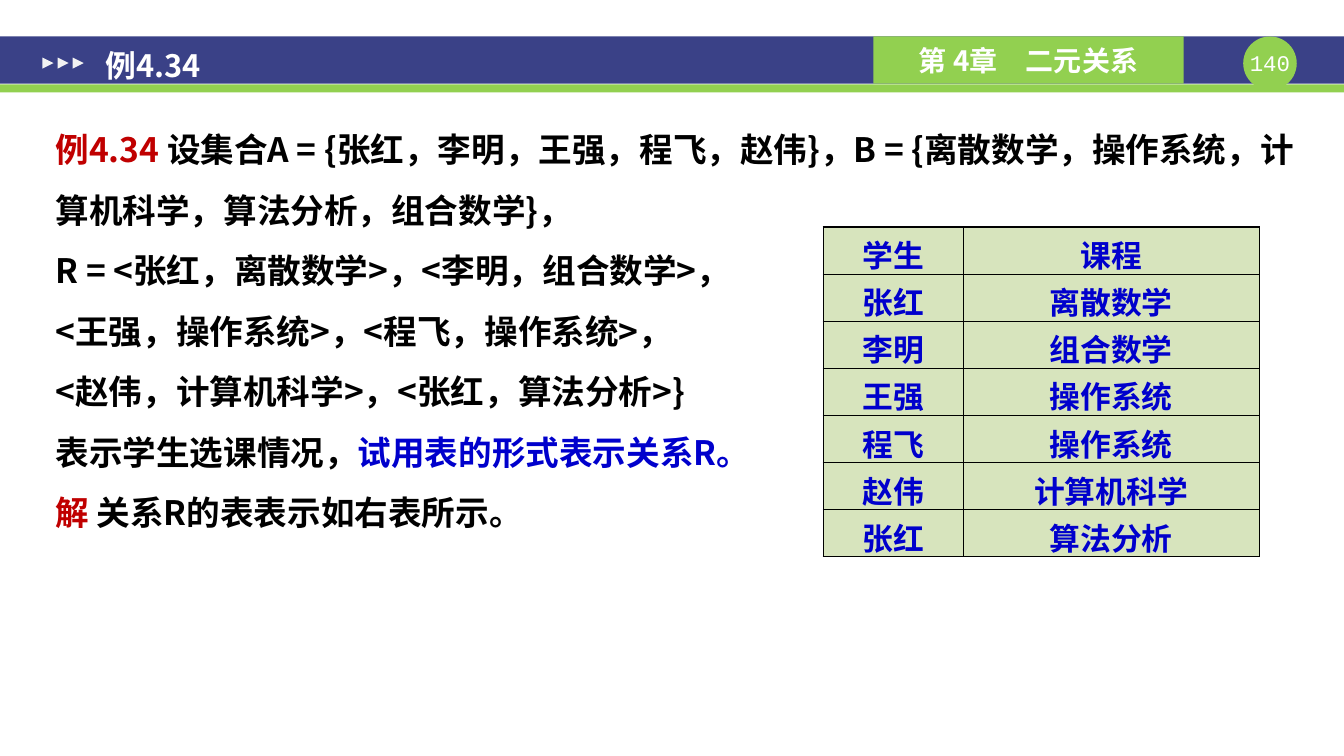
from lxml.etree import SubElement
from pptx import Presentation
from pptx.dml.color import RGBColor
from pptx.enum.shapes import MSO_SHAPE
from pptx.enum.text import MSO_ANCHOR, PP_ALIGN
from pptx.oxml.ns import qn
from pptx.util import Cm, Pt

COLORS = {
    "bar": "3A4187", "accent": "92D050", "arrow": "F2F2F2", "white": "FFFFFF",
    "label": "C00000", "text": "000000", "blue": "0000CC", "cell": "D7E4BD",
}
SANS = "Noto Sans CJK SC"
SLIDE_W, SLIDE_H = 33.88, 19.05

BODY = [
    [("例4.34 ", "label"),
     ("设集合A = {张红，李明，王强，程飞，赵伟}，"
      "B = {离散数学，操作系统，计算机科学，算法分析，组合数学}，", "text")],
    [("R = <张红，离散数学>，<李明，组合数学>，", "text")],
    [("<王强，操作系统>，<程飞，操作系统>，", "text")],
    [("<赵伟，计算机科学>，<张红，算法分析>}", "text")],
    [("表示学生选课情况，", "text"), ("试用表的形式表示关系R。", "blue")],
    [("解 ", "label"), ("关系R的表表示如右表所示。", "text")],
]
COURSES = [
    ("学生", "课程"), ("张红", "离散数学"), ("李明", "组合数学"),
    ("王强", "操作系统"), ("程飞", "操作系统"), ("赵伟", "计算机科学"),
    ("张红", "算法分析"),
]


def rgb(name):
    return RGBColor.from_string(COLORS[name])


def style_run(r, size, color, font=SANS, bold=True):
    r.font.size, r.font.bold, r.font.name = Pt(size), bold, font
    r.font.color.rgb = rgb(color)
    SubElement(r._r.get_or_add_rPr(), qn("a:ea")).set("typeface", SANS)


def add_block(slide, kind, x, y, w, h, color):
    sp = slide.shapes.add_shape(kind, Cm(x), Cm(y), Cm(w), Cm(h))
    sp.shadow.inherit = False
    sp.fill.solid()
    sp.fill.fore_color.rgb = rgb(color)
    sp.line.fill.background()
    return sp


def add_text(slide, x, y, w, h, paragraphs, size, margins=(0.33, 0.18),
             anchor=MSO_ANCHOR.TOP, align=PP_ALIGN.LEFT, spacing=1.0,
             font=SANS, bold=True):
    tf = slide.shapes.add_textbox(Cm(x), Cm(y), Cm(w), Cm(h)).text_frame
    tf.word_wrap, tf.vertical_anchor = True, anchor
    tf.margin_left = tf.margin_right = Cm(margins[0])
    tf.margin_top = tf.margin_bottom = Cm(margins[1])
    for i, runs in enumerate(paragraphs):
        p = tf.paragraphs[0] if i == 0 else tf.add_paragraph()
        p.alignment, p.line_spacing = align, spacing
        for text, color in runs:
            r = p.add_run()
            r.text = text
            style_run(r, size, color, font, bold)


def add_header(slide, x, y, w, h):
    # Bar and accent strip
    add_block(slide, MSO_SHAPE.RECTANGLE, x, y, w, h, "bar")
    add_block(slide, MSO_SHAPE.RECTANGLE, x, y + h + 0.02, w, 0.2, "accent")

    # Page number
    badge, badge_x = 1.35, x + w - 2.54
    add_block(slide, MSO_SHAPE.OVAL, badge_x, y, badge, badge, "accent")
    add_text(slide, badge_x, y + 0.31, badge, 0.69, [[("140", "white")]], 16,
             margins=(0, 0), align=PP_ALIGN.CENTER, font="Courier New", bold=False)

    # Chapter tab
    sp = add_block(slide, MSO_SHAPE.RECTANGLE, x + w - 11.86, y, 7.82, h, "accent")
    tf = sp.text_frame
    tf.vertical_anchor = MSO_ANCHOR.MIDDLE
    tf.text = "第 4章　二元关系"
    p = tf.paragraphs[0]
    p.alignment = PP_ALIGN.CENTER
    style_run(p.runs[0], 20, "white")

    # Arrows and title
    for i in range(3):
        sp = add_block(slide, MSO_SHAPE.ISOSCELES_TRIANGLE,
                       x + 1.07 + 0.38 * i, y + 0.53, 0.28, 0.28, "arrow")
        sp.rotation = 90
    add_text(slide, x + 2.34, y - 0.1, 29.9, 1.63, [[("例4.34", "white")]], 22,
             anchor=MSO_ANCHOR.MIDDLE)


def add_cell_borders(cell):
    tc_pr = cell._tc.get_or_add_tcPr()
    for i, side in enumerate(("lnL", "lnR", "lnT", "lnB")):
        ln = tc_pr.makeelement(qn(f"a:{side}"), {"w": str(Pt(1))})
        fill = SubElement(ln, qn("a:solidFill"))
        SubElement(fill, qn("a:srgbClr")).set("val", COLORS["text"])
        tc_pr.insert(i, ln)


def add_course_table(slide, x, y, w, h):
    shape = slide.shapes.add_table(len(COURSES), 2, Cm(x), Cm(y), Cm(w), Cm(h))
    table = shape.table
    name_w = 3.53
    table.columns[0].width, table.columns[1].width = Cm(name_w), Cm(w - name_w)
    for i, row in enumerate(COURSES):
        for j, text in enumerate(row):
            cell = table.cell(i, j)
            cell.fill.solid()
            cell.fill.fore_color.rgb = rgb("cell")
            add_cell_borders(cell)
            cell.text = text
            p = cell.text_frame.paragraphs[0]
            p.alignment = PP_ALIGN.CENTER
            style_run(p.runs[0], 22, "blue", "Times New Roman")


def main():
    prs = Presentation()
    prs.slide_width, prs.slide_height = Cm(SLIDE_W), Cm(SLIDE_H)
    slide = prs.slides.add_slide(prs.slide_layouts[6])
    add_header(slide, 0, 0.92, SLIDE_W, 1.19)
    add_text(slide, 1.07, 2.57, 32.18, 13.08, BODY, 24, spacing=1.5)
    add_course_table(slide, 20.75, 5.72, 10.99, 8.31)
    prs.save("out.pptx")


if __name__ == "__main__":
    main()
